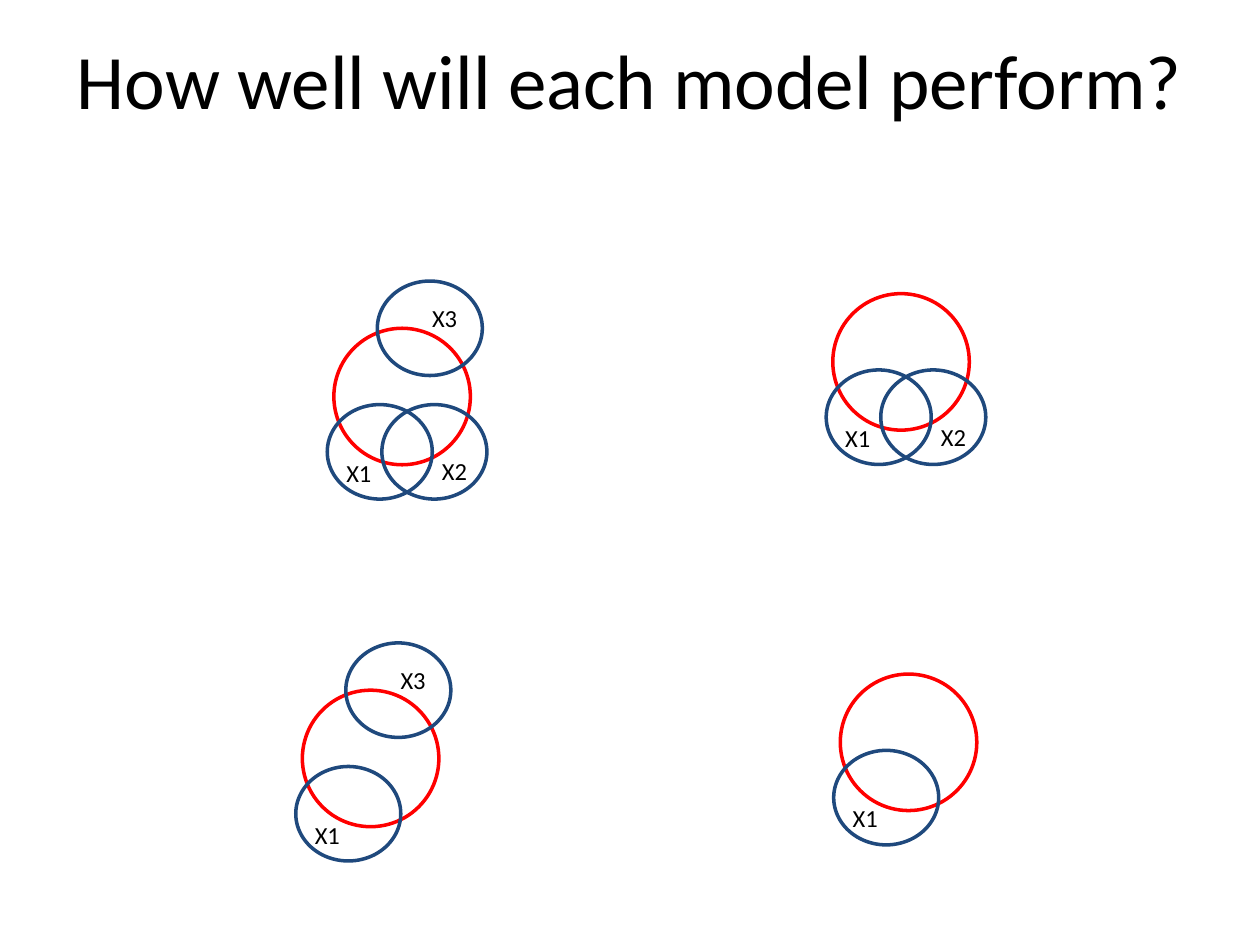
from pptx import Presentation
from pptx.dml.color import RGBColor
from pptx.enum.shapes import MSO_SHAPE as Shape
from pptx.enum.text import MSO_ANCHOR as Anchor, PP_ALIGN as Align
from pptx.util import Pt

COLORS = {"text": "000000", "outcome": "FF0000", "predictor": "1F497D"}
FONT = "Calibri"
OUTCOME_SIZE = 78
PREDICTOR_WIDTH, PREDICTOR_HEIGHT = 60, 54

PREDICTORS = {
    "X1": {"circle": (-3.8, 43.6), "label": (0, 70.4)},
    "X2": {"circle": (27.4, 43.6), "label": (54.7, 69.6)},
    "X3": {"circle": (24.8, -27), "label": (49, -18)},
}
MODELS = [
    (475.9, 167.8, ["X1", "X2"]),
    (172.8, 394.4, ["X1", "X3"]),
    (480.2, 385.2, ["X1"]),
    (190.8, 187.6, ["X1", "X2", "X3"]),
]


def add_text(slide, text, left, top, width, height, size, wrap=False,
             align=Align.LEFT, anchor=Anchor.TOP):
    box = slide.shapes.add_textbox(Pt(left), Pt(top), Pt(width), Pt(height))
    frame = box.text_frame
    frame.word_wrap = wrap
    frame.vertical_anchor = anchor
    paragraph = frame.paragraphs[0]
    paragraph.text = text
    paragraph.alignment = align
    paragraph.font.name = FONT
    paragraph.font.size = Pt(size)
    paragraph.font.color.rgb = RGBColor.from_string(COLORS["text"])


def add_ring(slide, left, top, width, height, color):
    ring = slide.shapes.add_shape(Shape.OVAL, Pt(left), Pt(top), Pt(width), Pt(height))
    ring.shadow.inherit = False
    ring.fill.background()
    ring.line.color.rgb = RGBColor.from_string(COLORS[color])
    ring.line.width = Pt(2)


def add_model(slide, left, top, names):
    add_ring(slide, left, top, OUTCOME_SIZE, OUTCOME_SIZE, "outcome")
    for name in names:
        dx, dy = PREDICTORS[name]["circle"]
        add_ring(slide, left + dx, top + dy, PREDICTOR_WIDTH, PREDICTOR_HEIGHT, "predictor")
    for name in names:
        dx, dy = PREDICTORS[name]["label"]
        add_text(slide, name, left + dx, top + dy, 28.8, 24.2, 14)


def main():
    presentation = Presentation()
    presentation.slide_width, presentation.slide_height = Pt(720), Pt(540)
    slide = presentation.slides.add_slide(presentation.slide_layouts[6])
    add_text(slide, "How well will each model perform?", 36, 0, 648, 90, 44,
             wrap=True, align=Align.CENTER, anchor=Anchor.MIDDLE)
    for left, top, names in MODELS:
        add_model(slide, left, top, names)
    presentation.save("out.pptx")


if __name__ == "__main__":
    main()
